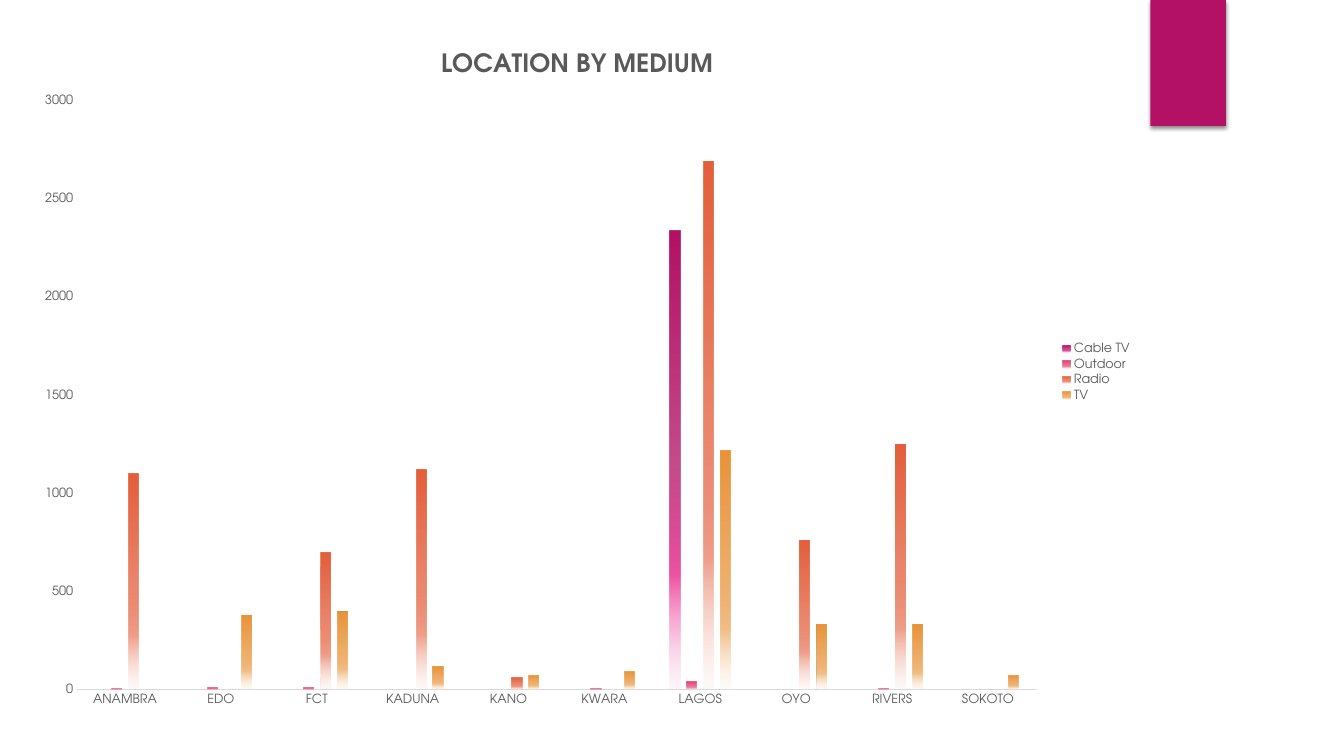
from lxml import etree
from pptx import Presentation
from pptx import util as u
from pptx.chart.data import CategoryChartData
from pptx.dml.color import RGBColor
from pptx.enum import chart as charts, shapes
from pptx.oxml import ns

FONT = "TeX Gyre Adventor"
LOCATIONS = ["ANAMBRA", "EDO", "FCT", "KADUNA", "KANO", "KWARA", "LAGOS", "OYO", "RIVERS", "SOKOTO"]
MEDIA = {
    "Cable TV": ([None] * 6 + [2340] + [None] * 3, ("B31166", "EF53A5", "FAC6E1")),
    "Outdoor": ([5, 10, 10, None, None, 5, 40, None, 5, None], ("E33D6F", "EE8BA9", "F9D8E2")),
    "Radio": ([1100, None, 700, 1120, 60, None, 2690, 760, 1250, None], ("E45F3C", "EF9F8A", "FADFD8")),
    "TV": ([None, 380, 400, 120, 70, 90, 1220, 330, 330, 70], ("E9943A", "F2BF89", "FBEAD8")),
}


def color(value):
    """Turn a hex string into a colour."""
    return RGBColor.from_string(value)


def style_font(font, size, value, bold=False):
    """Give a font its face, size, colour and weight."""
    font.name, font.size, font.bold = FONT, u.Pt(size), bold
    font.color.rgb = color(value)


def add_child(parent, tag, **attributes):
    """Append an XML child with the given attributes."""
    child = etree.SubElement(parent, ns.qn(tag))
    for name, value in attributes.items():
        child.set(name, str(value))
    return child


def add_color(parent, value, opacity=100):
    """Append an XML colour with its opacity in percent."""
    element = add_child(parent, "a:srgbClr", val=value)
    if opacity < 100:
        add_child(element, "a:alpha", val=opacity * 1000)


def fill_fading(series, strong, light, pale):
    """Fill the bars of a series with a fade to the bottom."""
    fill = series.format.fill
    fill.gradient()
    fill.gradient_angle = 270
    stops = series._element.spPr.find(".//" + ns.qn("a:gsLst"))
    for stop in list(stops):
        stops.remove(stop)
    for place, value, opacity in ((0, strong, 100), (51, strong, 75), (75, light, 100), (100, pale, 15)):
        add_color(add_child(stops, "a:gs", pos=place * 1000), value, opacity)
    series.format.line.fill.background()


def place(element, tag_before, target=None, **fractions):
    """Put a manual layout of chart fractions after a child, or first."""
    layout = element.find(ns.qn("c:layout"))
    if layout is None:
        layout = etree.Element(ns.qn("c:layout"))
        before = element.find(ns.qn(tag_before))
        if before is None:
            element.insert(0, layout)
        else:
            before.addnext(layout)
    for child in list(layout):
        layout.remove(child)
    manual = add_child(layout, "c:manualLayout")
    if target:
        add_child(manual, "c:layoutTarget", val=target)
    for name in ("x", "y"):
        add_child(manual, f"c:{name}Mode", val="edge")
    for name, value in fractions.items():
        add_child(manual, f"c:{name}", val=value)


def add_tab(slide, left, top, width, height):
    """Add the coloured tab with its soft shadow."""
    tab = slide.shapes.add_shape(shapes.MSO_SHAPE.RECTANGLE, left, top, width, height)
    tab.fill.solid()
    tab.fill.fore_color.rgb = color("B31166")
    tab.line.fill.background()
    tab.shadow.inherit = False
    effects = tab._element.spPr.find(ns.qn("a:effectLst"))
    shadow = add_child(effects, "a:outerShdw", blurRad=u.Pt(3), dist=u.Pt(2), dir=5400000, rotWithShape=0)
    add_color(shadow, "000000", 45)


def style_axes(chart):
    """Format the location axis and the value axis."""
    for axis in (chart.category_axis, chart.value_axis):
        axis.has_major_gridlines = False
        axis.major_tick_mark = axis.minor_tick_mark = charts.XL_TICK_MARK.NONE
        style_font(axis.tick_labels.font, 9, "595959")
    line = chart.category_axis.format.line
    line.color.rgb = color("D9D9D9")
    line.width = u.Pt(0.75)
    chart.value_axis.format.line.fill.background()
    chart.value_axis.minimum_scale = 0
    chart.value_axis.maximum_scale = 3000
    chart.value_axis.major_unit = 500


def add_medium_chart(slide, left, top, width, height):
    """Add the clustered columns with title and legend."""
    data = CategoryChartData()
    data.categories = LOCATIONS
    for name, (values, _) in MEDIA.items():
        data.add_series(name, values)
    chart = slide.shapes.add_chart(
        charts.XL_CHART_TYPE.COLUMN_CLUSTERED, left, top, width, height, data
    ).chart
    style_font(chart.font, 10, "000000")
    style_axes(chart)
    plot = chart.plots[0]
    plot.vary_by_categories = False
    plot.gap_width, plot.overlap = 355, -70
    for series in plot.series:
        series.invert_if_negative = False
        fill_fading(series, *MEDIA[series.name][1])

    chart.has_title = True
    run = chart.chart_title.text_frame.paragraphs[0].add_run()
    run.text = "LOCATION BY MEDIUM"
    style_font(run.font, 18, "595959", bold=True)
    chart.chart_title.include_in_layout = False
    place(chart.chart_title._element, "c:tx", x=0.37, y=0.03)

    chart.has_legend = True
    chart.legend.position = charts.XL_LEGEND_POSITION.RIGHT
    chart.legend.include_in_layout = False
    style_font(chart.legend.font, 9, "595959")
    area = chart._chartSpace.find(".//" + ns.qn("c:plotArea"))
    place(area, "c:layout", "inner", x=0.049, y=0.109, w=0.856, h=0.848)


def main():
    """Build the slide and save it."""
    presentation = Presentation()
    presentation.slide_width, presentation.slide_height = u.Inches(13.33), u.Inches(7.5)
    slide = presentation.slides.add_slide(presentation.slide_layouts[6])
    add_tab(slide, u.Inches(11.41), u.Inches(0), u.Inches(0.75), u.Inches(1.25))
    add_medium_chart(slide, u.Inches(0.22), u.Inches(0.25), u.Inches(11.11), u.Inches(6.89))
    presentation.save("out.pptx")


if __name__ == "__main__":
    main()
